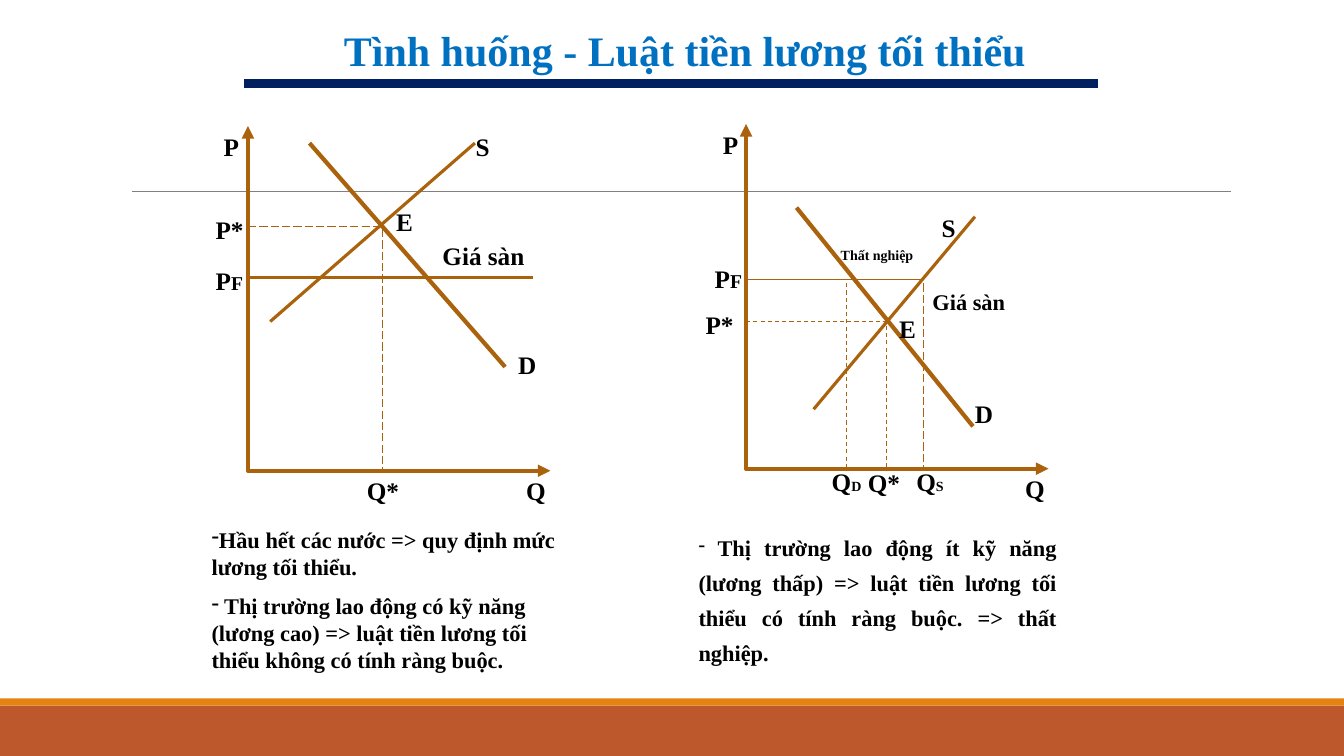
"""Build a slide comparing a non-binding and a binding minimum wage."""
from dataclasses import dataclass

import pptx
import pptx.dml.color
import pptx.enum.dml
import pptx.enum.shapes
import pptx.enum.text
import pptx.oxml
import pptx.util
from pptx.util import Inches

DASH = pptx.enum.dml.MSO_LINE.DASH
LONG_DASH = pptx.enum.dml.MSO_LINE.LONG_DASH
ALIGN = pptx.enum.text.PP_ALIGN


@dataclass(frozen=True)
class Theme:
    """Colours, type sizes and line weights of the slide."""
    font: str = "Times New Roman"
    title: str = "0070C0"
    title_rule: str = "002060"
    text: str = "000000"
    curve: str = "AB620D"
    hairline: str = "808080"
    footer: str = "BD582C"
    footer_edge: str = "E48312"
    title_size: int = 30
    label_size: int = 18
    body_size: int = 16
    small_size: int = 14
    tiny_size: int = 10
    thick: float = 3
    medium: float = 2.25
    thin: float = 0.75


THEME = Theme()


def rgb(code):
    """Return a colour for a hexadecimal code."""
    return pptx.dml.color.RGBColor.from_string(code)


def add_xml(parent, tag, attributes=""):
    """Append an empty drawing element to a parent element."""
    namespace = "http://schemas.openxmlformats.org/drawingml/2006/main"
    parent.append(pptx.oxml.parse_xml(f'<a:{tag} xmlns:a="{namespace}" {attributes}/>'))


def style_line(line, weight, color=THEME.curve, dash=None):
    """Set the colour, weight and dash of a line."""
    line.color.rgb = rgb(color)
    line.width = pptx.util.Pt(weight)
    if dash is not None:
        line.dash_style = dash


def add_band(page, top, height, color):
    """Draw a full-width band."""
    band = page.shapes.add_shape(pptx.enum.shapes.MSO_SHAPE.RECTANGLE, 0, Inches(top),
                                 Inches(13.33), Inches(height))
    band.shadow.inherit = False
    band.fill.solid()
    band.fill.fore_color.rgb = rgb(color)
    band.line.fill.background()


def add_line(shapes, start, end, weight, color=THEME.curve, dash=None):
    """Draw a straight line between two points."""
    line = shapes.add_connector(pptx.enum.shapes.MSO_CONNECTOR.STRAIGHT,
                                *map(Inches, (*start, *end)))
    style_line(line.line, weight, color, dash)
    add_xml(line._element.spPr, "effectLst")


def add_path(shapes, points, weight, dash=None):
    """Draw an open unfilled path through the points."""
    corners = [(Inches(x), Inches(y)) for x, y in points]
    builder = shapes.build_freeform(*corners[0])
    builder.add_line_segments(corners[1:], close=False)
    path = builder.convert_to_shape()
    path.shadow.inherit = False
    path.fill.background()
    style_line(path.line, weight, dash=dash)
    return path


def add_axes(shapes, origin):
    """Draw the price and quantity axes with arrowheads."""
    x, y = origin
    axes = add_path(shapes, [(x, y - 3.42), origin, (x + 3, y)], THEME.thick)
    outline = axes.line._get_or_add_ln()
    for end in ("headEnd", "tailEnd"):
        add_xml(outline, end, 'type="triangle"')


def add_guide(shapes, origin, point, dash):
    """Draw dashed guides from a point to both axes."""
    add_path(shapes, [(origin[0], point[1]), point, (point[0], origin[1])], THEME.thin, dash)


def add_text(shapes, place, paragraphs, color=THEME.text, align=ALIGN.LEFT,
             spacing=None, bullet=False):
    """Write paragraphs, each a list of (text, size) runs."""
    box = shapes.add_textbox(*map(Inches, place))
    frame = box.text_frame
    frame.word_wrap = True
    for index, runs in enumerate(paragraphs):
        para = frame.paragraphs[0] if index == 0 else frame.add_paragraph()
        para.alignment = align
        if spacing:
            para.line_spacing = spacing
        if index:
            para.space_before = pptx.util.Pt(9)
        if bullet:
            properties = para._p.get_or_add_pPr()
            properties.set("marL", "0")
            properties.set("indent", "0")
            add_xml(properties, "buFontTx")
            add_xml(properties, "buChar", 'char="-"')
        base = runs[0][1]
        para.font.name = THEME.font
        para.font.bold = True
        para.font.color.rgb = rgb(color)
        para.font.size = pptx.util.Pt(base)
        for text, size in runs:
            span = para.add_run()
            span.text = text
            if size != base:
                span.font.size = pptx.util.Pt(size)


def add_label(shapes, text, left, top, width=0.58, size=THEME.label_size,
              suffix="", suffix_size=THEME.tiny_size):
    """Write a diagram label with an optional smaller suffix."""
    runs = [(text, size)] + ([(suffix, suffix_size)] if suffix else [])
    add_text(shapes, (left, top, width, round(size * 1.15 / 72 + 0.1, 2)), [runs])


def add_skilled_market(page):
    """Draw the market whose price floor lies below equilibrium."""
    shapes = page.shapes.add_group_shape().shapes
    origin = (2.46, 4.67)
    add_axes(shapes, origin)
    add_guide(shapes, origin, (3.79, 2.25), LONG_DASH)
    add_line(shapes, (2.46, 2.75), (5.29, 2.75), THEME.medium)
    add_line(shapes, (2.68, 3.19), (4.71, 1.42), THEME.medium)
    add_line(shapes, (3.07, 1.42), (5.01, 3.64), THEME.thick)
    for text, left, top in [("P", 2.12, 1.25), ("P*", 2.04, 2.08), ("E", 3.83, 2),
                            ("S", 4.62, 1.25), ("D", 5.04, 3.42),
                            ("Q*", 3.54, 4.67), ("Q", 5.12, 4.67)]:
        add_label(shapes, text, left, top)
    add_label(shapes, "P", 2.04, 2.58, suffix="F", suffix_size=THEME.small_size)
    add_label(shapes, "Giá sàn", 4.29, 2.33, 1.25)


def add_unskilled_market(page):
    """Draw the market whose price floor causes unemployment."""
    shapes = page.shapes.add_group_shape().shapes
    origin = (7.4, 4.65)
    add_axes(shapes, origin)
    add_guide(shapes, origin, (9.16, 2.77), LONG_DASH)
    add_guide(shapes, origin, (8.79, 3.19), DASH)
    add_line(shapes, (8.4, 2.81), (8.4, 4.65), THEME.thin, dash=DASH)
    add_line(shapes, (7.9, 2.06), (9.65, 4.23), THEME.thick)
    add_line(shapes, (8.07, 4.06), (9.67, 2.15), THEME.medium)
    add_line(shapes, (7.4, 2.77), (9.15, 2.77), THEME.thin)
    for text, left, top in [("P", 7.07, 1.23), ("P*", 6.9, 3.02), ("Q*", 8.51, 4.59),
                            ("Q", 10.07, 4.65), ("S", 9.24, 2.06),
                            ("D", 9.57, 3.9), ("E", 8.82, 3.06)]:
        add_label(shapes, text, left, top)
    add_label(shapes, "P", 6.99, 2.56, suffix="F", suffix_size=THEME.small_size)
    add_label(shapes, "Q", 8.15, 4.58, suffix="D")
    add_label(shapes, "Q", 8.99, 4.58, suffix="S")
    add_label(shapes, "Thất nghiệp", 8.24, 2.4, 2.08, THEME.tiny_size)
    add_label(shapes, "Giá sàn", 9.15, 2.81, 1.08, THEME.body_size)


def main():
    """Build and save the slide."""
    deck = pptx.Presentation()
    deck.slide_width, deck.slide_height = Inches(13.33), Inches(7.5)
    page = deck.slides.add_slide(deck.slide_layouts[6])
    add_band(page, 7, 0.5, THEME.footer)
    add_band(page, 6.93, 0.07, THEME.footer_edge)
    add_line(page.shapes, (1.31, 1.9), (12.21, 1.9), 0.5, THEME.hairline)
    add_text(page.shapes, (1.92, 0.29, 9.75, 0.5),
             [[("Tình huống - Luật tiền lương tối thiểu", THEME.title_size)]],
             THEME.title, ALIGN.CENTER, 0.8)
    add_line(page.shapes, (2.42, 0.83), (10.89, 0.83), 6, THEME.title_rule)
    add_skilled_market(page)
    add_unskilled_market(page)
    add_text(page.shapes, (2, 5.17, 3.75, 1.58), [
        [("Hầu hết các nước => quy định mức lương tối thiểu.", THEME.body_size)],
        [(" Thị trường lao động có kỹ năng (lương cao) => luật tiền lương tối thiểu "
          "không có tính ràng buộc.", THEME.body_size)]], bullet=True)
    add_text(page.shapes, (6.83, 5.17, 3.75, 1.49), [
        [(" ", THEME.small_size),
         ("Thị trường lao động ít kỹ năng (lương thấp) => luật tiền lương tối thiểu "
          "có tính ràng buộc. => thất nghiệp.", THEME.body_size)]],
        align=ALIGN.JUSTIFY, spacing=1.3, bullet=True)
    deck.save("out.pptx")


main()
